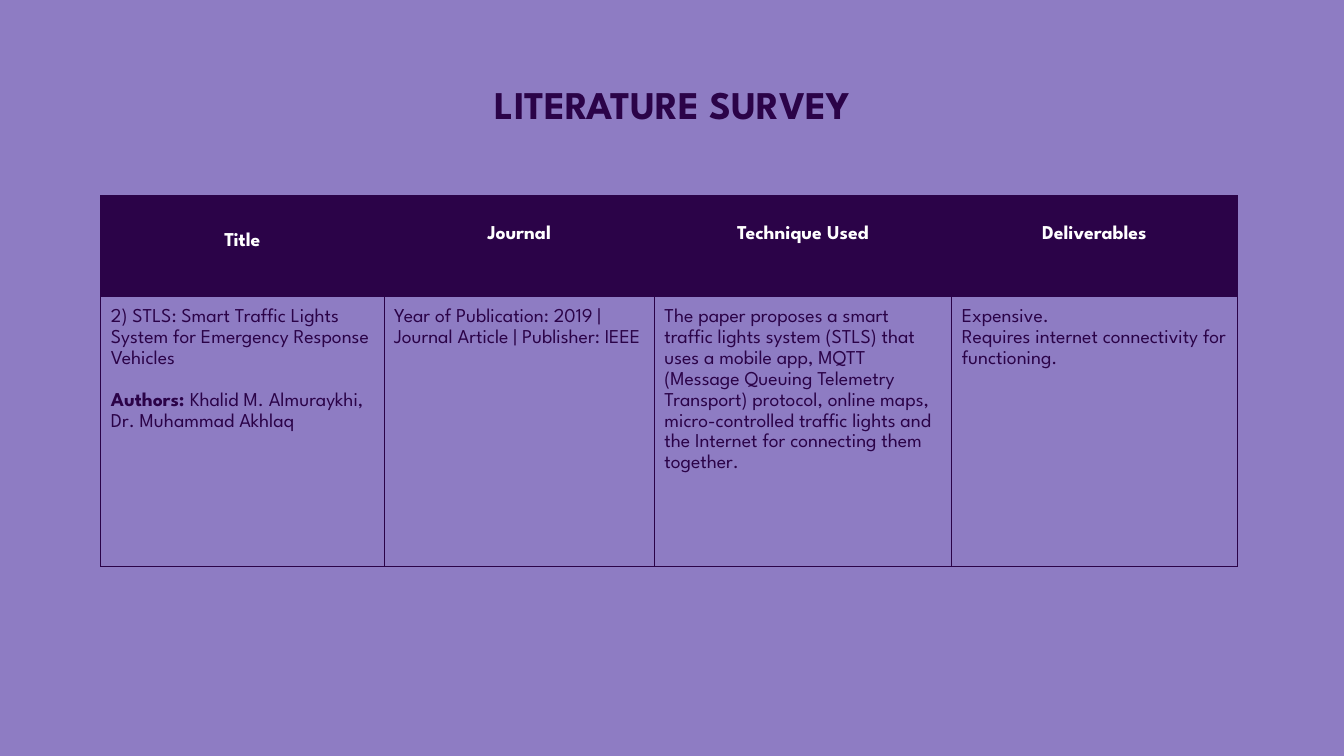
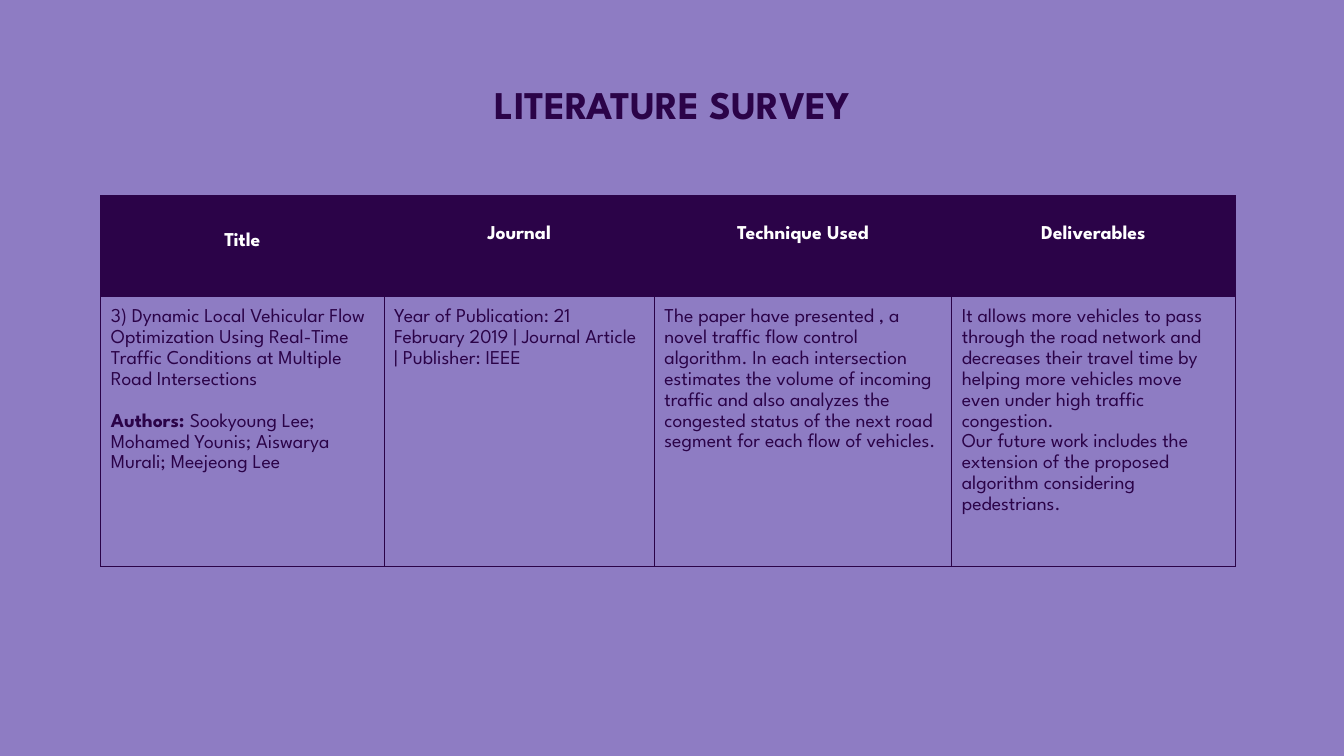
from dataclasses import dataclass

import lxml.etree
import pptx
import pptx.dml.color
import pptx.enum.text
import pptx.oxml.ns
import pptx.util

Inches, Pt = pptx.util.Inches, pptx.util.Pt
ALIGN, ANCHOR = pptx.enum.text.PP_ALIGN, pptx.enum.text.MSO_ANCHOR

# Shared look
LILAC, PLUM, WHITE = "8E7CC3", "2B0348", "FFFFFF"
FACE = "League Spartan"
TITLE_FONT = {"name": FACE, "size": Pt(28), "bold": True}
HEAD_FONT = {"name": FACE, "size": Pt(14), "bold": True}
BODY_FONT = {"name": FACE, "size": Pt(14), "bold": False}
TITLE_BOX = {"left": Inches(3.97), "top": Inches(0.74),
             "width": Inches(5.4), "height": Inches(0.63)}
TITLE_FRAME = {"vertical_anchor": ANCHOR.MIDDLE, "word_wrap": True}

# Table geometry in inches
LEFT, TOP, PAD = 1, 1.94, 0.1
FIRST_COLS = (2.81, 2.68, 2.95)
ROWS = (1, 2.68)
HEADS = (("Title", 0.34), ("Journal", 0.27),
         ("Technique Used", 0.27), ("Deliverables", 0.27))


@dataclass
class Paper:
    title: str
    authors: str
    journal: str
    technique: str
    deliverables: tuple[str, ...]
    last_col: float


PAPERS = (
    Paper("2) STLS: Smart Traffic Lights System for Emergency Response Vehicles",
          "Khalid M. Almuraykhi, Dr. Muhammad Akhlaq",
          "Year of Publication: 2019 | Journal Article | Publisher: IEEE",
          "The paper proposes a smart traffic lights system (STLS) that uses a "
          "mobile app, MQTT (Message Queuing Telemetry Transport) protocol, "
          "online maps, micro-controlled traffic lights and the Internet for "
          "connecting them together.",
          ("Expensive.", "Requires internet connectivity for functioning."),
          2.83),
    Paper("3) Dynamic Local Vehicular Flow Optimization Using Real-Time Traffic "
          "Conditions at Multiple Road Intersections",
          "Sookyoung Lee; Mohamed Younis; Aiswarya Murali; Meejeong Lee",
          "Year of Publication: 21 February 2019 | Journal Article | "
          "Publisher: IEEE",
          "The paper have presented , a novel traffic flow control algorithm. "
          "In each intersection estimates the volume of incoming traffic and "
          "also analyzes the congested status of the next road segment for each "
          "flow of vehicles.",
          ("It allows more vehicles to pass through the road network and "
           "decreases their travel time by helping more vehicles move even "
           "under high traffic congestion.",
           "Our future work includes the extension of the proposed algorithm "
           "considering pedestrians."),
          2.81),
)


def rgb(color: str) -> pptx.dml.color.RGBColor:
    return pptx.dml.color.RGBColor.from_string(color)


def set_all(obj, values: dict) -> None:
    for name, value in values.items():
        setattr(obj, name, value)


def add_run(p, text: str, font: dict, color: str) -> None:
    r = p.add_run()
    r.text = text
    set_all(r.font, font)
    r.font.color.rgb = rgb(color)


def add_border(cell) -> None:
    tc_pr = cell._tc.get_or_add_tcPr()
    qn = pptx.oxml.ns.qn
    for i, side in enumerate(("lnL", "lnR", "lnT", "lnB")):
        ln = lxml.etree.Element(qn(f"a:{side}"), w=str(Pt(0.75)))
        fill = lxml.etree.SubElement(ln, qn("a:solidFill"))
        lxml.etree.SubElement(fill, qn("a:srgbClr"), val=PLUM)
        tc_pr.insert(i, ln)


def style_cell(cell, top: float = PAD, fill: str | None = None) -> None:
    set_all(cell, {"margin_left": Inches(PAD), "margin_right": Inches(PAD),
                   "margin_top": Inches(top), "margin_bottom": Inches(PAD)})
    if fill:
        cell.fill.solid()
        cell.fill.fore_color.rgb = rgb(fill)
    else:
        cell.fill.background()
    add_border(cell)


def next_paragraph(tf, first: bool):
    p = tf.paragraphs[0] if first else tf.add_paragraph()
    p.line_spacing = 1.15
    return p


def add_table(slide, paper: Paper) -> None:
    cols = (*FIRST_COLS, paper.last_col)
    table = slide.shapes.add_table(
        len(ROWS), len(cols), Inches(LEFT), Inches(TOP),
        Inches(sum(cols)), Inches(sum(ROWS))).table
    set_all(table, {"first_row": False, "horz_banding": False})
    for col, width in zip(table.columns, cols):
        col.width = Inches(width)
    for row, height in zip(table.rows, ROWS):
        row.height = Inches(height)

    # Header row
    for i, (text, top) in enumerate(HEADS):
        cell = table.cell(0, i)
        style_cell(cell, top, PLUM)
        p = next_paragraph(cell.text_frame, True)
        p.alignment = ALIGN.CENTER
        add_run(p, text, HEAD_FONT, WHITE)

    # Paper row
    texts = ((paper.title,), (paper.journal,), (paper.technique,),
             paper.deliverables)
    for i, lines in enumerate(texts):
        cell = table.cell(1, i)
        style_cell(cell)
        for n, line in enumerate(lines):
            p = next_paragraph(cell.text_frame, n == 0)
            add_run(p, line, BODY_FONT, PLUM)

    # Authors below the paper title
    p = next_paragraph(table.cell(1, 0).text_frame, False)
    p.space_before = Pt(15)
    add_run(p, "Authors: ", HEAD_FONT, PLUM)
    add_run(p, paper.authors, BODY_FONT, PLUM)


def add_slide(prs, layout, paper: Paper) -> None:
    slide = prs.slides.add_slide(layout)
    title = slide.shapes.title
    set_all(title, TITLE_BOX)
    set_all(title.text_frame, TITLE_FRAME)
    p = title.text_frame.paragraphs[0]
    set_all(p, {"alignment": ALIGN.CENTER, "line_spacing": 0.9})
    add_run(p, "LITERATURE SURVEY", TITLE_FONT, PLUM)
    add_table(slide, paper)


def main() -> None:
    prs = pptx.Presentation()
    set_all(prs, {"slide_width": Inches(13.33), "slide_height": Inches(7.5)})
    background = prs.slide_master.background.fill
    background.solid()
    background.fore_color.rgb = rgb(LILAC)
    layout = prs.slide_layouts.get_by_name("Title Only")
    for paper in PAPERS:
        add_slide(prs, layout, paper)
    prs.save("out.pptx")


if __name__ == "__main__":
    main()
